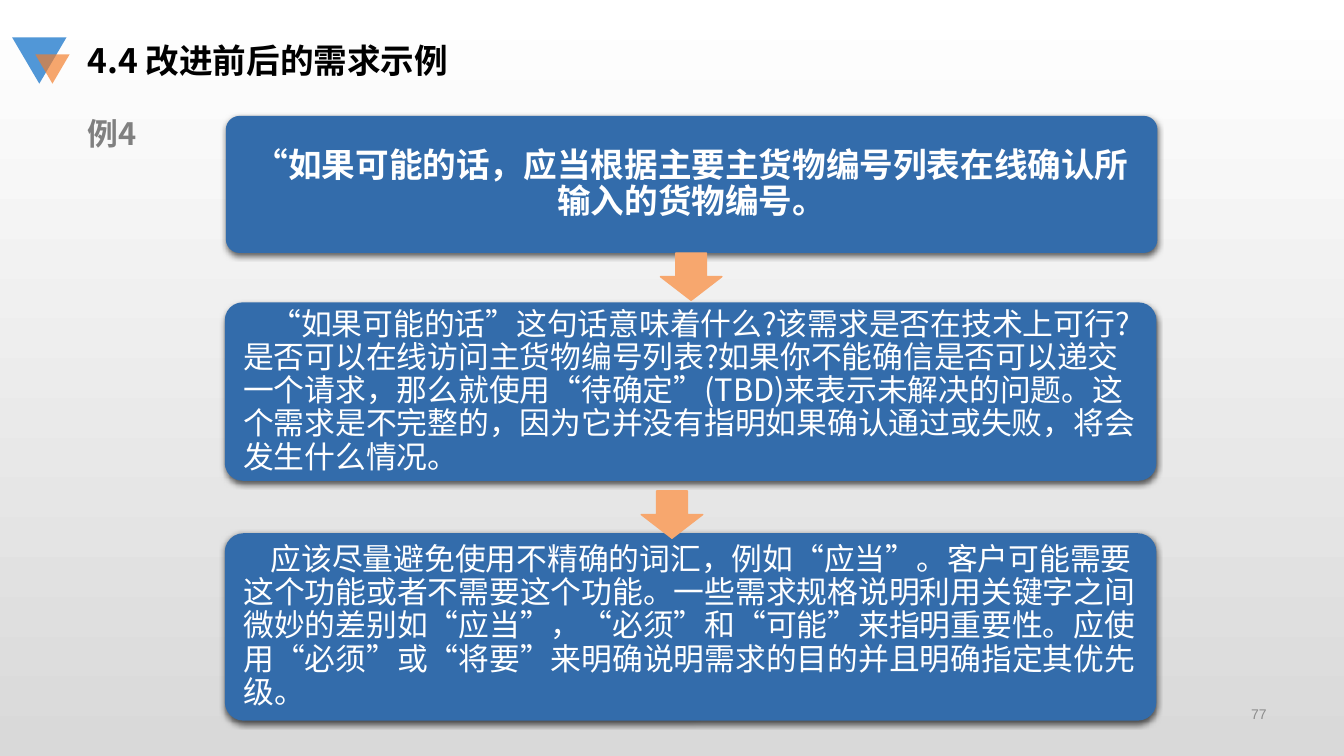
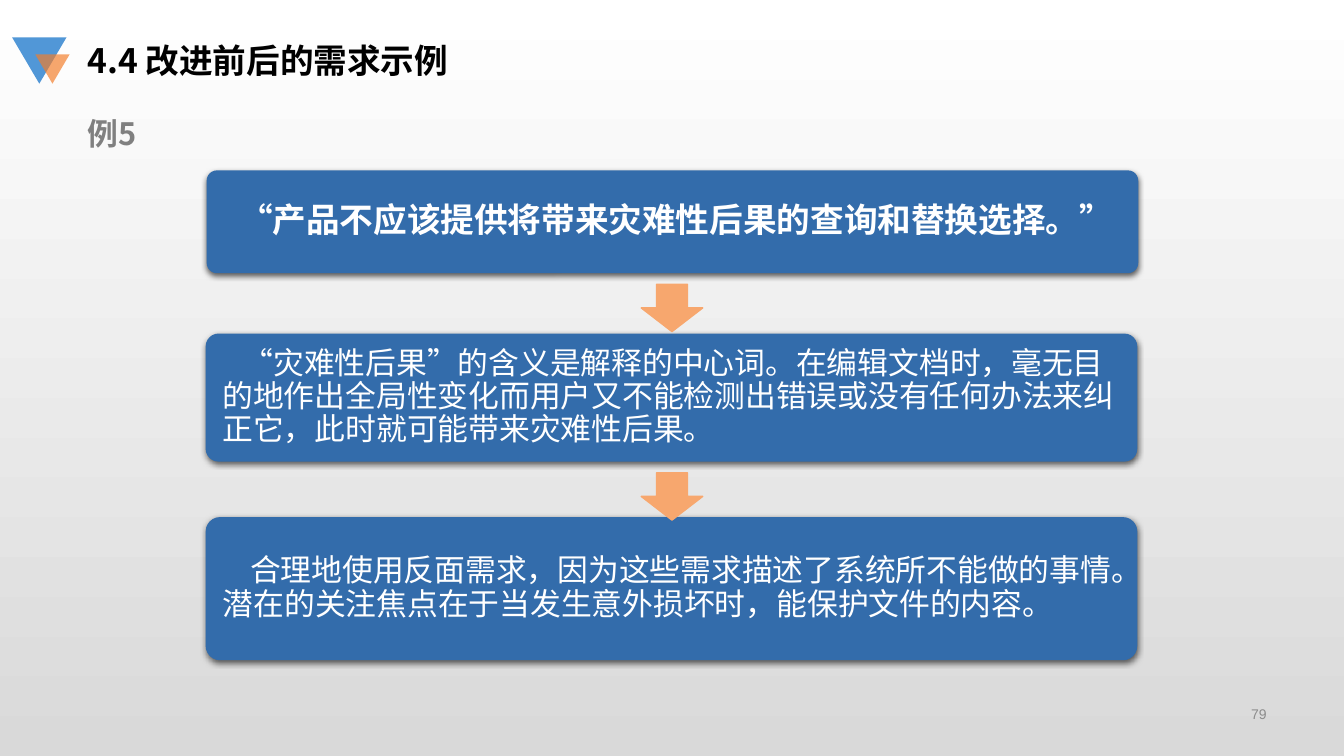
"""Build two slides that show requirements before and after improvement."""
from lxml import etree
from pptx import Presentation
from pptx import util as u
from pptx.dml.color import RGBColor
from pptx.enum import lang, shapes, text
from pptx.oxml.ns import qn

HUES = {
    "top": "FFFFFF", "base": "D9D9D9", "blue": "5197D7", "orange": "F37D2A",
    "card": "336CAB", "arrow": "F7A76E", "title": "000000", "label": "808080",
    "page": "8C8C8C", "white": "FFFFFF", "shade": "000000",
}
FONT = "Noto Sans CJK SC"
KINDS = shapes.MSO_SHAPE
ALIGN = text.PP_ALIGN
MID = text.MSO_ANCHOR.MIDDLE
WIDE = 9.24

SLIDES = [
    {
        "page": "77", "label": "例4",
        "cards": [
            (2.24, 1.15, 1.36, 0, "“如果可能的话，应当根据主要主货物编号列表在线确认所输入的货物编号。"),
            (2.23, 3, 1.77, 0.27, "“如果可能的话”这句话意味着什么?该需求是否在技术上可行?是否可以在线访问主货物编号列表?如果你不能确信是否可以递交一个请求，那么就使用“待确定”(TBD)来表示未解决的问题。这个需求是不完整的，因为它并没有指明如果确认通过或失败，将会发生什么情况。"),
            (2.23, 5.29, 1.86, 0.27, "应该尽量避免使用不精确的词汇，例如“应当”。客户可能需要这个功能或者不需要这个功能。一些需求规格说明利用关键字之间微妙的差别如“应当”，“必须”和“可能”来指明重要性。应使用“必须”或“将要”来明确说明需求的目的并且明确指定其优先级。"),
        ],
        "arrows": [(6.55, 2.51), (6.36, 4.87)],
    },
    {
        "page": "79", "label": "例5",
        "cards": [
            (2.05, 1.69, 1.02, 0.07, "“产品不应该提供将带来灾难性后果的查询和替换选择。”"),
            (2.04, 3.31, 1.27, 0.2, "“灾难性后果”的含义是解释的中心词。在编辑文档时，毫无目的地作出全局性变化而用户又不能检测出错误或没有任何办法来纠正它，此时就可能带来灾难性后果。"),
            (2.04, 5.13, 1.42, 0.27, "合理地使用反面需求，因为这些需求描述了系统所不能做的事情。潜在的关注焦点在于当发生意外损坏时，能保护文件的内容。"),
        ],
        "arrows": [(6.36, 2.82), (6.36, 4.69)],
    },
]


def hue(name):
    """Return the named colour."""
    return RGBColor.from_string(HUES[name])


def write(shape, words, size, color, bold=False, font=FONT, align=ALIGN.LEFT,
          anchor=text.MSO_ANCHOR.TOP, pad=(0.1, 0.05), indent=0, lead=1.0):
    """Write one formatted paragraph into a shape."""
    frame = shape.text_frame
    frame.word_wrap = True
    frame.vertical_anchor = anchor
    frame.margin_left = frame.margin_right = u.Inches(pad[0])
    frame.margin_top = frame.margin_bottom = u.Inches(pad[1])
    para = frame.paragraphs[0]
    para.alignment = align
    para.line_spacing = lead
    if indent:
        para._p.get_or_add_pPr().set("indent", str(u.Inches(indent)))
    run = para.add_run()
    run.text = words
    face = run.font
    face.name, face.size, face.bold = font, u.Pt(size), bold
    face.color.rgb = hue(color)
    face.language_id = lang.MSO_LANGUAGE_ID.SIMPLIFIED_CHINESE
    for tag in ("a:ea", "a:cs"):
        etree.SubElement(run._r.rPr, qn(tag)).set("typeface", font)


def label(slide, box, words, **fmt):
    """Add a text box."""
    write(slide.shapes.add_textbox(*map(u.Inches, box)), words, **fmt)


def draw(slide, kind, box, color, line=None):
    """Add a flat preset shape."""
    shape = slide.shapes.add_shape(kind, *map(u.Inches, box))
    shape.shadow.inherit = False
    shape.fill.solid()
    shape.fill.fore_color.rgb = hue(color)
    if line:
        shape.line.color.rgb = hue(color)
        shape.line.width = u.Pt(line)
    else:
        shape.line.fill.background()
    return shape


def tint(node, tag, color, alpha):
    """Add or find a colour node and set its opacity in percent."""
    rgb = node.find(qn(tag))
    if rgb is None:
        rgb = etree.SubElement(node, qn(tag), val=HUES[color])
    etree.SubElement(rgb, qn("a:alpha"), val=str(alpha * 1000))


def shade(shape):
    """Give a shape a soft shadow below it."""
    glow = shape._element.spPr.find(qn("a:effectLst"))
    cast = etree.SubElement(glow, qn("a:outerShdw"), blurRad=str(u.Pt(4.5)),
                            dist=str(u.Pt(1.5)), dir="5400000",
                            algn="ctr", rotWithShape="0")
    tint(cast, "a:srgbClr", "shade", 63)


def card(slide, left, top, high, indent, words, head):
    """Add a rounded card, either a bold headline or body text."""
    shape = draw(slide, KINDS.ROUNDED_RECTANGLE, (left, top, WIDE, high), "card")
    shape.adjustments[0] = 0.1
    shade(shape)
    write(shape, words, size=24 if head else 22, color="white", bold=head,
          align=ALIGN.CENTER if head else ALIGN.LEFT, anchor=MID,
          pad=(0.13, 0.09), indent=indent, lead=0.9)


def frame(slide, page):
    """Add the backdrop, emblem, title and page number."""
    fill = slide.background.fill
    fill.gradient()
    fill.gradient_angle = 270
    for stop, name in zip(fill.gradient_stops, ("top", "base")):
        stop.color.rgb = hue(name)
    big = draw(slide, KINDS.ISOSCELES_TRIANGLE, (0.12, 0.37, 0.54, 0.46), "blue")
    small = draw(slide, KINDS.ISOSCELES_TRIANGLE, (0.35, 0.54, 0.34, 0.29), "orange")
    big.rotation = small.rotation = 180
    tint(small._element.spPr.find(qn("a:solidFill")), "a:srgbClr", "orange", 68)
    label(slide, (0.77, 0.35, 9.66, 0.5), "4.4 改进前后的需求示例",
          size=24, color="title", bold=True)
    label(slide, (9.71, 6.91, 2.95, 0.35), page, size=10, color="page",
          font="Arial", align=ALIGN.RIGHT, anchor=MID)


def main():
    """Build and save the deck."""
    deck = Presentation()
    deck.slide_width, deck.slide_height = u.Inches(13.33), u.Inches(7.5)
    for data in SLIDES:
        slide = deck.slides.add_slide(deck.slide_layouts[6])
        frame(slide, data["page"])
        label(slide, (0.77, 1.09, 10.44, 0.47), data["label"],
              size=22, color="label", bold=True)
        for rank, item in enumerate(data["cards"]):
            card(slide, *item, head=rank == 0)
        for left, top in data["arrows"]:
            draw(slide, KINDS.DOWN_ARROW, (left, top, 0.61, 0.47), "arrow", line=1)
    deck.save("out.pptx")


if __name__ == "__main__":
    main()
